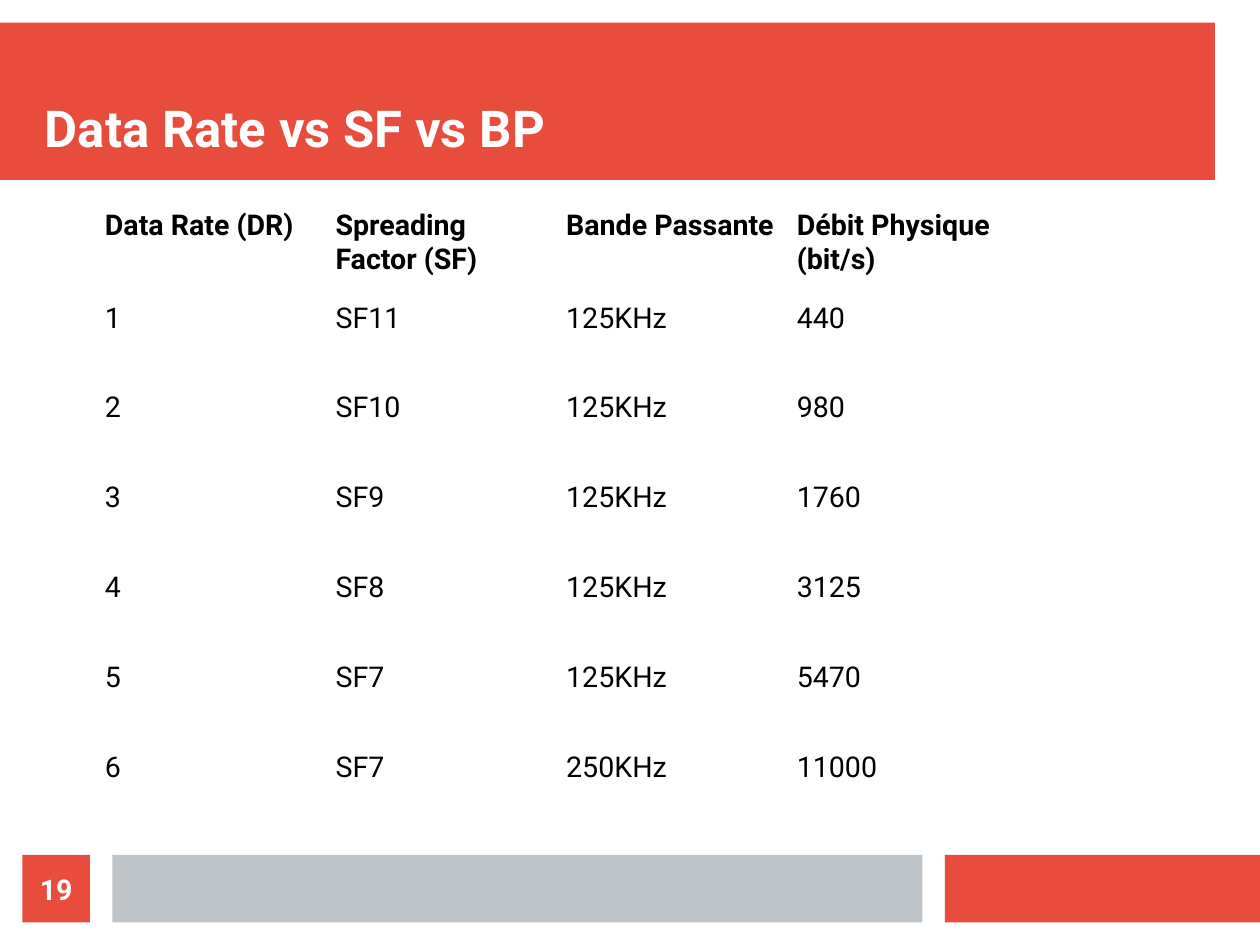
"""Build the slide that sets data rate against spreading factor and bandwidth."""
from pptx import Presentation
from pptx.dml.color import RGBColor
from pptx.enum.shapes import MSO_SHAPE as Kind
from pptx.enum.text import MSO_ANCHOR as Anchor, PP_ALIGN as Align
from pptx.util import Pt

RED, GREY, WHITE, BLACK = "E74C3C", "BDC3C7", "FFFFFF", "000000"
WIDE, HIGH = 793.7, 595.28
GAP, SIDE = 14.17, 42.52
TITLE = "Data Rate vs SF vs BP"
PAGE = "19"
HEADS = ["Data Rate (DR)", "Spreading Factor (SF)", "Bande Passante", "Débit Physique (bit/s)"]
RATES = [
    ("1", "SF11", "125KHz", "440"),
    ("2", "SF10", "125KHz", "980"),
    ("3", "SF9", "125KHz", "1760"),
    ("4", "SF8", "125KHz", "3125"),
    ("5", "SF7", "125KHz", "5470"),
    ("6", "SF7", "250KHz", "11000"),
]
COL, HEAD, ROW = 145.3, 58.2, 56.6


def color(code):
    return RGBColor.from_string(code)


def write(frame, text, size=18, ink=BLACK, bold=False, align=Align.LEFT):
    frame.word_wrap = True
    para = frame.paragraphs[0]
    para.alignment = align
    run = para.add_run()
    run.text = text
    font = run.font
    font.name, font.size, font.bold = "Roboto", Pt(size), bold
    font.color.rgb = color(ink)


def inset(frame, anchor):
    frame.margin_left = frame.margin_right = 0
    frame.margin_top = frame.margin_bottom = 0
    frame.vertical_anchor = anchor


def block(slide, left, top, width, height, fill):
    shape = slide.shapes.add_shape(Kind.RECTANGLE, Pt(left), Pt(top), Pt(width), Pt(height))
    shape.shadow.inherit = False
    shape.fill.solid()
    shape.fill.fore_color.rgb = color(fill)
    shape.line.fill.background()
    return shape


def main():
    deck = Presentation()
    deck.slide_width, deck.slide_height = Pt(WIDE), Pt(HIGH)
    slide = deck.slides.add_slide(deck.slide_layouts[6])

    foot = HIGH - GAP - SIDE
    bar = 2 * GAP + SIDE
    end = WIDE * 3 / 4
    block(slide, 0, GAP, WIDE - 2 * GAP, 7 * GAP, RED)
    block(slide, end, foot, WIDE - end, SIDE, RED)
    block(slide, bar, foot, end - GAP - bar, SIDE, GREY)
    page = block(slide, GAP, foot, SIDE, SIDE, RED).text_frame
    inset(page, Anchor.MIDDLE)
    write(page, PAGE, ink=WHITE, bold=True, align=Align.CENTER)

    title = slide.shapes.add_textbox(Pt(2 * GAP), Pt(2 * GAP), Pt(52 * GAP), Pt(5 * GAP)).text_frame
    inset(title, Anchor.BOTTOM)
    write(title, TITLE, size=32, ink=WHITE, bold=True)

    rows = [HEADS, *RATES]
    table = slide.shapes.add_table(
        len(rows), len(HEADS), Pt(58.9), Pt(128.2),
        Pt(COL * len(HEADS)), Pt(HEAD + ROW * len(RATES))).table
    table.first_row = table.horz_banding = False
    for col in table.columns:
        col.width = Pt(COL)
    for r, row in enumerate(rows):
        table.rows[r].height = Pt(ROW if r else HEAD)
        for c, text in enumerate(row):
            cell = table.cell(r, c)
            cell.fill.background()
            write(cell.text_frame, text, bold=r == 0)

    deck.save("out.pptx")


if __name__ == "__main__":
    main()
